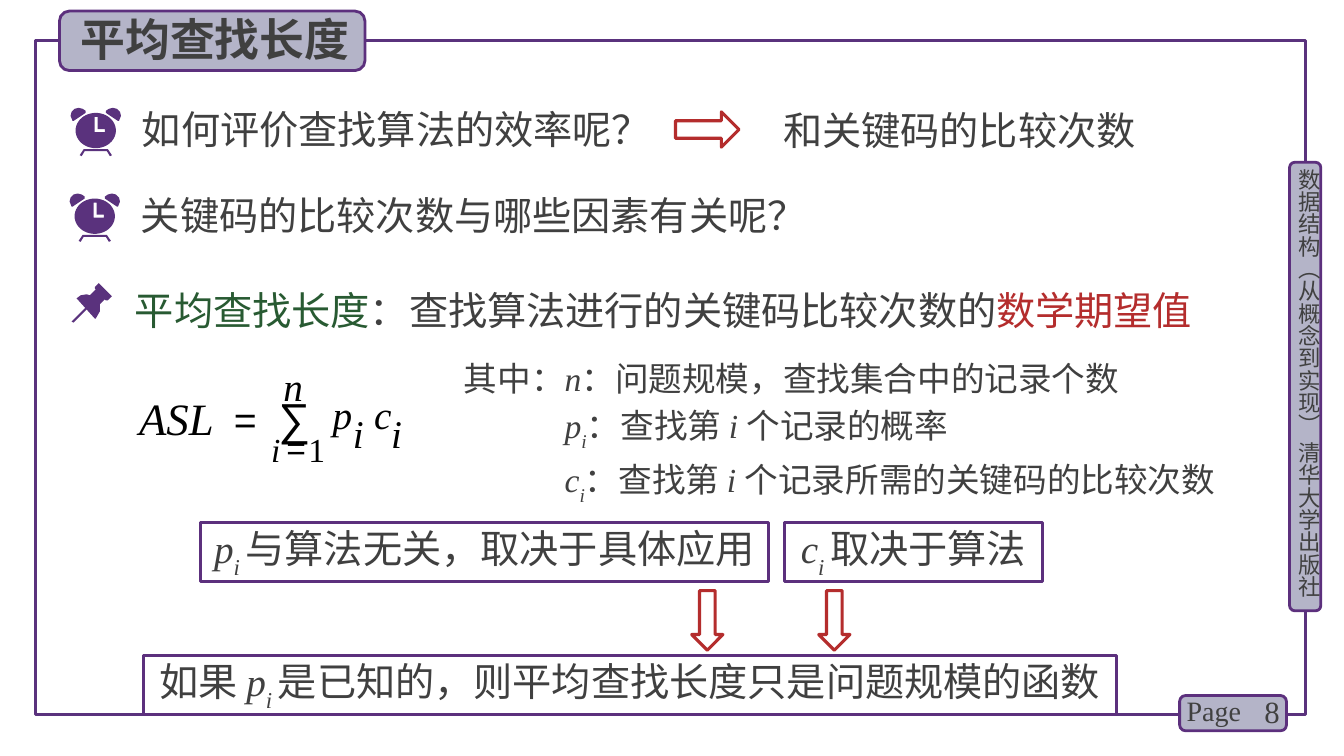
from math import cos, pi, sin

from pptx import Presentation
from pptx.dml.color import RGBColor
from pptx.enum.shapes import MSO_SHAPE
from pptx.enum.text import MSO_ANCHOR, MSO_AUTO_SIZE, PP_ALIGN
from pptx.oxml.ns import qn
from pptx.util import Inches, Pt

RECT, ROUND = MSO_SHAPE.RECTANGLE, MSO_SHAPE.ROUNDED_RECTANGLE
ARROW = MSO_SHAPE.RIGHT_ARROW
LEFT, CENTER, RIGHT = PP_ALIGN.LEFT, PP_ALIGN.CENTER, PP_ALIGN.RIGHT
TOP, MIDDLE = MSO_ANCHOR.TOP, MSO_ANCHOR.MIDDLE
FIT = MSO_AUTO_SIZE.SHAPE_TO_FIT_TEXT

W, H = 13.33, 7.5
SANS, SERIF, MATH = "Noto Sans CJK SC", "Times New Roman", "Arial"
COLORS = {"text": "404040", "violet": "5A327D", "edge": "5C307D", "tab": "B4B4C8",
          "red": "B42D2D", "green": "285A32", "black": "000000"}
PAD, NO_SIDE, NO_PAD = (0.1, 0.05), (0, 0.05), (0, 0)

# Icon outlines in inches from the icon's top left corner
CLOCK_W = 0.5
EAR = [(0.02, 0.13), (0, 0.08), (0.01, 0.04), (0.04, 0.01), (0.08, 0),
       (0.12, 0.01), (0.15, 0.03), (0.15, 0.05), (0.03, 0.13)]
FACE = [(0.25 + 0.2 * cos(k * pi / 24), 0.225 + 0.175 * sin(k * pi / 24)) for k in range(48)]
HANDS = [(0.24, 0.09), (0.24, 0.24), (0.34, 0.24), (0.34, 0.21), (0.27, 0.21), (0.27, 0.09)]
FEET = [(0.09, 0.47), (0.13, 0.41), (0.37, 0.41), (0.41, 0.47),
        (0.39, 0.48), (0.36, 0.43), (0.14, 0.43), (0.11, 0.48)]
PIN = [(0.39, 0.12), (0.27, 0), (0.23, 0.04), (0.23, 0.05), (0.24, 0.06), (0.18, 0.12),
       (0.15, 0.11), (0.09, 0.12), (0.05, 0.15), (0.23, 0.35), (0.24, 0.35), (0.28, 0.28),
       (0.28, 0.21), (0.33, 0.16), (0.34, 0.17), (0.36, 0.17), (0.4, 0.13)]
NEEDLE = [(0.02, 0.39), (0, 0.38), (0.14, 0.24), (0.16, 0.25)]


def rgb(name):
    return RGBColor.from_string(COLORS[name])


def add_run(p, text, size, font=SERIF, color="text", bold=False, italic=False, sub=False):
    r = p.add_run()
    r.text = text
    f = r.font
    f.size, f.name, f.bold, f.italic = Pt(size), font, bold, italic
    f.color.rgb = rgb(color)
    rpr = r._r.get_or_add_rPr()
    ea = rpr.makeelement(qn("a:ea"), {"typeface": SANS})
    rpr.find(qn("a:latin")).addnext(ea)
    if sub:
        rpr.set("baseline", "-30000")


def set_frame(tf, pad, anchor, wrap=True):
    tf.margin_left = tf.margin_right = Inches(pad[0])
    tf.margin_top = tf.margin_bottom = Inches(pad[1])
    tf.vertical_anchor, tf.word_wrap = anchor, wrap


def add_text(s, box, runs, size, pad=PAD, anchor=TOP, align=LEFT, wrap=True, spacing=None):
    """Each run is a pair of text and run style."""
    tf = s.shapes.add_textbox(*map(Inches, box)).text_frame
    set_frame(tf, pad, anchor, wrap)
    tf.auto_size = FIT
    p = tf.paragraphs[0]
    p.alignment = align
    if spacing:
        p.line_spacing = spacing
    for text, style in runs:
        add_run(p, text, size, **style)
    return tf


def add_box(s, kind, box, line="edge", width=2.25, fill=None):
    sp = s.shapes.add_shape(kind, *map(Inches, box))
    sp.shadow.inherit = False
    sp.line.color.rgb, sp.line.width = rgb(line), Pt(width)
    if fill:
        sp.fill.solid()
        sp.fill.fore_color.rgb = rgb(fill)
    else:
        sp.fill.background()
    return sp


def add_outline(s, x, y, *loops):
    loops = [[(Inches(x + dx), Inches(y + dy)) for dx, dy in loop] for loop in loops]
    fb = s.shapes.build_freeform(*loops[0][0], scale=1.0)
    fb.add_line_segments(loops[0][1:], close=True)
    for loop in loops[1:]:
        fb.move_to(*loop[0])
        fb.add_line_segments(loop[1:], close=True)
    sp = fb.convert_to_shape()
    sp.shadow.inherit = False
    sp.fill.solid()
    sp.fill.fore_color.rgb = rgb("violet")
    sp.line.fill.background()


def page_frame(s, x, y, w, h):
    add_box(s, RECT, (x, y, w, h), "violet")
    right, bottom = x + w, y + h
    # Vertical book tab
    add_box(s, ROUND, (right - 0.16, y + 1.21, 0.31, 4.45), width=2, fill="tab")
    tf = add_text(s, (right - 0.1, y + 1.27, 0.27, 4.49),
                  [("数据结构（从概念到实现） 清华大学出版社", {"font": SANS})], 16, NO_PAD)
    tf._txBody.bodyPr.set("vert", "eaVert")
    # Page number tab
    add_box(s, ROUND, (right - 1.25, bottom - 0.19, 1.06, 0.35), width=2, fill="tab")
    add_text(s, (right - 0.75, bottom - 0.23, 0.59, 0.4), [("8", {})], 22,
             anchor=MIDDLE, align=RIGHT)
    add_text(s, (right - 1.28, bottom - 0.26, 0.78, 0.44), [("Page", {})], 20)


def title_tab(s, x, y, w, h):
    add_box(s, ROUND, (x, y, w, h), width=2, fill="tab")
    add_text(s, (x + 0.11, y - 0.04, w, 0.64),
             [("平均查找长度", {"font": SANS, "bold": True})], 32)


def question(s, x, y, w, text):
    add_outline(s, x, y, EAR)
    add_outline(s, x, y, [(CLOCK_W - dx, dy) for dx, dy in EAR])
    add_outline(s, x, y, FACE, HANDS)
    add_outline(s, x, y, FEET)
    add_text(s, (x + 0.61, y - 0.07, w, 0.57), [(text, {"font": SANS})], 28)


def answer(s, x, y, text):
    add_box(s, ARROW, (x, y + 0.12, 0.63, 0.35), "red")
    add_text(s, (x + 0.97, y, 4.33, 0.59), [(text, {"font": SANS})], 28, spacing=Pt(35))


def definition(s, x, y):
    add_outline(s, x, y, PIN)
    add_outline(s, x, y, NEEDLE)
    add_text(s, (x + 0.53, y - 0.11, 10.99, 0.67), [
        ("平均查找长度", {"font": SANS, "color": "green"}),
        ("：查找算法进行的关键码比较次数的", {"font": SANS}),
        ("数学期望值", {"font": SANS, "color": "red"})], 28, spacing=1.2)


def formula(s, x, y):
    # text, left, top, width, height, size, font, italic
    parts = [("ASL", 0, 0.29, 0.83, 0.53, 32, SERIF, True),
             ("=", 0.94, 0.33, 0.21, 0.47, 28, MATH, False),
             ("∑", 1.38, 0.29, 0.32, 0.53, 32, MATH, False),
             ("n", 1.43, 0, 0.21, 0.47, 28, SERIF, True),
             ("i", 1.31, 0.67, 0.09, 0.4, 24, SERIF, True),
             ("=", 1.46, 0.65, 0.18, 0.4, 24, MATH, False),
             ("1", 1.68, 0.67, 0.17, 0.4, 24, SERIF, False),
             ("p", 1.92, 0.28, 0.19, 0.47, 28, SERIF, True),
             ("i", 2.12, 0.47, 0.11, 0.47, 28, SERIF, True),
             ("c", 2.33, 0.28, 0.17, 0.47, 28, SERIF, True),
             ("i", 2.5, 0.47, 0.11, 0.47, 28, SERIF, True)]
    for text, dx, dy, w, h, size, font, italic in parts:
        style = {"font": font, "italic": italic, "color": "black"}
        add_text(s, (x + dx, y + dy, w, h), [(text, style)], size, NO_PAD, wrap=False)


def symbol_notes(s, box):
    tf = add_text(s, box, [("其中：", {}), ("n", {"italic": True}),
                           ("：问题规模，查找集合中的记录个数", {})], 24, NO_SIDE)
    for symbol, meaning in (("p", "个记录的概率"), ("c", "个记录所需的关键码的比较次数")):
        p = tf.add_paragraph()
        p.space_before = Pt(4.8)
        p._p.get_or_add_pPr().set("marL", str(Inches(1)))
        add_run(p, symbol, 24, italic=True)
        add_run(p, "i", 24, italic=True, sub=True)
        add_run(p, "：查找第 ", 24)
        add_run(p, "i ", 24, italic=True)
        add_run(p, meaning, 24)


def conclusion(s, box, before, symbol, after):
    tf = add_box(s, RECT, box).text_frame
    set_frame(tf, NO_SIDE, MIDDLE)
    p = tf.paragraphs[0]
    p.alignment, p.line_spacing = CENTER, Pt(40)
    if before:
        add_run(p, before, 28)
    add_run(p, symbol, 28, italic=True)
    add_run(p, "i ", 28, italic=True, sub=True)
    add_run(p, after, 28)


def conclusions(s, x, y):
    conclusion(s, (x + 0.57, y, 5.63, 0.59), "", "p", "与算法无关，取决于具体应用")
    conclusion(s, (x + 6.36, y, 2.56, 0.59), "", "c", "取决于算法")
    conclusion(s, (x, y + 1.32, 9.65, 0.59), "如果 ", "p",
               "是已知的，则平均查找长度只是问题规模的函数")
    for dx in (5.3, 6.56):
        add_box(s, ARROW, (x + dx, y + 0.82, 0.59, 0.31), "red").rotation = 90


def main():
    prs = Presentation()
    prs.slide_width, prs.slide_height = Inches(W), Inches(H)
    s = prs.slides.add_slide(prs.slide_layouts[6])
    page_frame(s, 0.35, 0.4, 12.6, 6.69)
    title_tab(s, 0.59, 0.11, 3.03, 0.59)
    question(s, 0.7, 1.07, 5.39, "如何评价查找算法的效率呢？")
    answer(s, 6.7, 0.99, "和关键码的比较次数")
    question(s, 0.69, 1.92, 8.65, "关键码的比较次数与哪些因素有关呢？")
    definition(s, 0.71, 2.81)
    symbol_notes(s, (4.6, 3.5, 7.75, 1.47))
    formula(s, 1.38, 3.59)
    conclusions(s, 1.42, 5.18)
    prs.save("out.pptx")


if __name__ == "__main__":
    main()
